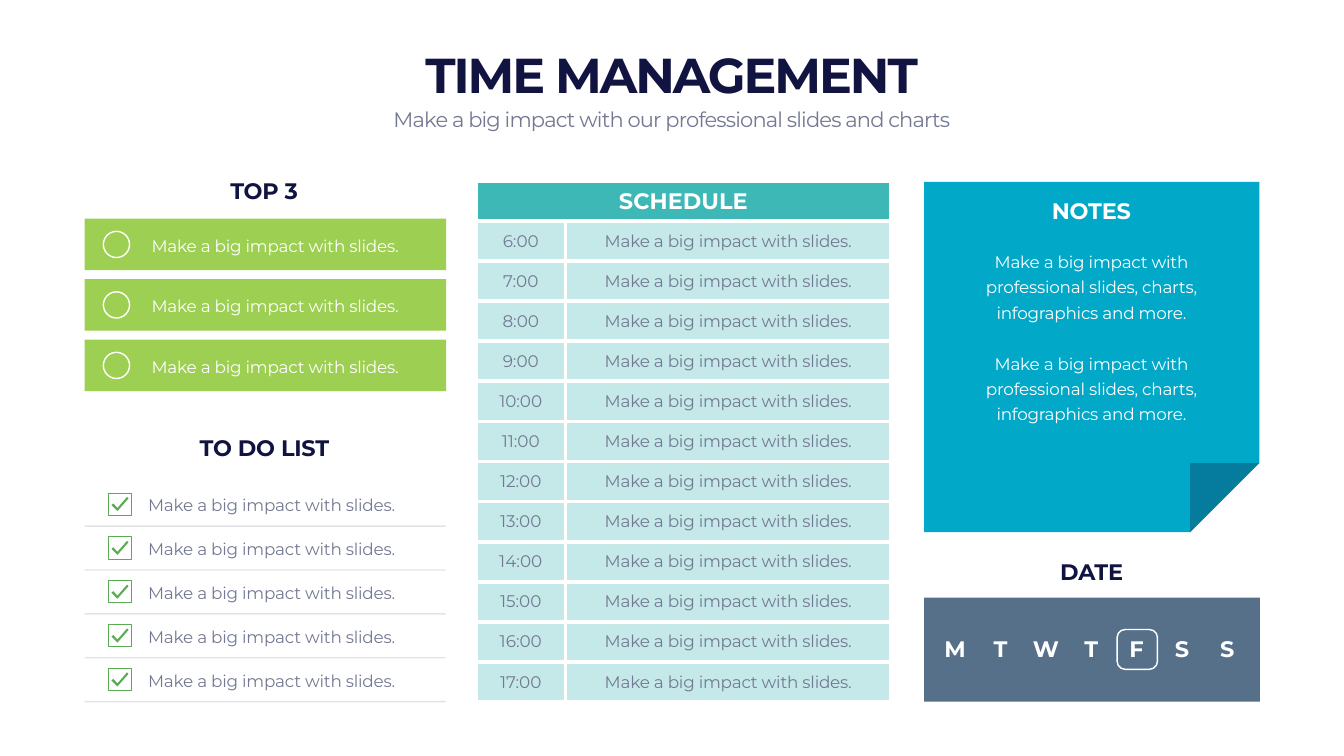
"""Build a time management planner slide."""
from dataclasses import dataclass

from lxml.etree import SubElement
from pptx import Presentation
from pptx.dml.color import RGBColor
from pptx.enum.shapes import MSO_CONNECTOR, MSO_SHAPE
from pptx.enum.text import MSO_ANCHOR, MSO_AUTO_SIZE, PP_ALIGN
from pptx.oxml import parse_xml
from pptx.oxml.ns import nsdecls, qn
from pptx.util import Inches, Pt

NAVY = RGBColor(0x11, 0x13, 0x40)
GREY = RGBColor(0x74, 0x79, 0x93)
WHITE = RGBColor(0xFF, 0xFF, 0xFF)
LIME = RGBColor(0x9D, 0xCF, 0x53)
GREEN = RGBColor(0x59, 0xAC, 0x54)
TEAL = RGBColor(0x3D, 0xB8, 0xB6)
CYAN = RGBColor(0x01, 0xA8, 0xC7)
SLATE = RGBColor(0x56, 0x70, 0x8A)
RULE = RGBColor(0xC4, 0xC8, 0xCE)

ITEM = "Make a big impact with slides."
NOTE = "Make a big impact with professional slides, charts, infographics and more."
CHECK = [(0.18, 0.36), (0.06, 0.24), (0.1, 0.21), (0.18, 0.3), (0.37, 0.08), (0.4, 0.11)]


@dataclass(frozen=True)
class Style:
    size: int
    color: RGBColor
    bold: bool = False
    spacing: float = -0.3
    align: PP_ALIGN = PP_ALIGN.CENTER
    anchor: MSO_ANCHOR = MSO_ANCHOR.MIDDLE
    leading: int | None = None


@dataclass(frozen=True)
class Label:
    text: str
    left: float
    top: float
    width: float
    height: float
    style: Style


TITLE = Style(70, NAVY, True, -2.9, anchor=MSO_ANCHOR.BOTTOM)
SUBTITLE = Style(30, GREY, spacing=-1.2, anchor=MSO_ANCHOR.TOP)
HEADING = Style(32, NAVY, True, anchor=MSO_ANCHOR.BOTTOM)
NOTES_HEADING = Style(32, WHITE, True, anchor=MSO_ANCHOR.BOTTOM)
NOTES_BODY = Style(24, WHITE, anchor=MSO_ANCHOR.TOP, leading=36)
TOP_ITEM = Style(24, WHITE, align=PP_ALIGN.LEFT, leading=36)
TODO_ITEM = Style(24, GREY, align=PP_ALIGN.LEFT, leading=36)
DAY = Style(32, WHITE, True)
TABLE_HEAD = Style(32, WHITE, True, 0)
HOUR = Style(24, GREY, spacing=0)
TASK = Style(24, GREY)

LABELS = [
    Label("TIME MANAGEMENT", 1.66, 0.82, 23.33, 1.28, TITLE),
    Label("Make a big impact with our professional slides and charts",
          1.66, 2.06, 23.33, 0.61, SUBTITLE),
    Label("NOTES", 19.28, 3.86, 4.74, 0.64, NOTES_HEADING),
    Label(NOTE, 19.28, 4.85, 4.74, 1.57, NOTES_BODY),
    Label(NOTE, 19.28, 6.86, 4.74, 1.57, NOTES_BODY),
    Label("TOP 3", 1.87, 3.45, 6.74, 0.64, HEADING),
    Label("TO DO LIST", 1.66, 8.55, 7.17, 0.64, HEADING),
    Label("DATE", 18.47, 11.01, 6.37, 0.64, HEADING),
]


def write(tf, text: str, style: Style) -> None:
    p = tf.paragraphs[0]
    p.text = text
    p.alignment = style.align
    if style.leading:
        p.line_spacing = Pt(style.leading)
    p.font.name = "Montserrat"
    p.font.size = Pt(style.size)
    p.font.bold = style.bold
    p.font.color.rgb = style.color
    p._p.pPr.find(qn("a:defRPr")).set("spc", str(round(style.spacing * 100)))


def add_label(shapes, label: Label) -> None:
    sp = shapes.add_textbox(Inches(label.left), Inches(label.top),
                            Inches(label.width), Inches(label.height))
    tf = sp.text_frame
    tf.word_wrap = True
    tf.auto_size = MSO_AUTO_SIZE.SHAPE_TO_FIT_TEXT
    tf.vertical_anchor = label.style.anchor
    write(tf, label.text, label.style)


def set_alpha(element, percent: int) -> None:
    color = next(element.iter(qn("a:srgbClr")))
    SubElement(color, qn("a:alpha")).set("val", str(percent * 1000))


def paint(sp, fill: RGBColor | None, line: RGBColor | None = None, width: float = 2) -> None:
    sp.shadow.inherit = False
    if fill is None:
        sp.fill.background()
    else:
        sp.fill.solid()
        sp.fill.fore_color.rgb = fill
    if line is None:
        sp.line.fill.background()
    else:
        sp.line.color.rgb = line
        sp.line.width = Pt(width)


def add_box(shapes, kind: MSO_SHAPE, left: float, top: float, width: float, height: float,
            fill: RGBColor | None, line: RGBColor | None = None, weight: float = 2):
    sp = shapes.add_shape(kind, Inches(left), Inches(top), Inches(width), Inches(height))
    paint(sp, fill, line, weight)
    return sp


def add_polygon(shapes, points: list[tuple[float, float]], fill: RGBColor):
    corners = [(Inches(x), Inches(y)) for x, y in points]
    builder = shapes.build_freeform(*corners[0], scale=1.0)
    builder.add_line_segments(corners[1:], close=True)
    sp = builder.convert_to_shape()
    paint(sp, fill)
    return sp


def add_rule(shapes, left: float, right: float, y: float) -> None:
    cx = shapes.add_connector(MSO_CONNECTOR.STRAIGHT, Inches(left), Inches(y),
                              Inches(right), Inches(y))
    cx.line.color.rgb = RULE
    cx.line.width = Pt(2)
    set_alpha(cx.line._get_or_add_ln(), 50)
    SubElement(cx._element.spPr, qn("a:effectLst"))


def fill_cell(cell, text: str, style: Style, alpha: int = 100) -> None:
    write(cell.text_frame, text, style)
    cell.vertical_anchor = MSO_ANCHOR.MIDDLE
    cell.fill.solid()
    cell.fill.fore_color.rgb = TEAL
    tc_pr = cell._tc.get_or_add_tcPr()
    if alpha < 100:
        set_alpha(tc_pr, alpha)
    for i, side in enumerate(("lnL", "lnR", "lnT", "lnB")):
        tc_pr.insert(i, parse_xml(
            f'<a:{side} {nsdecls("a")} w="{Pt(6)}"><a:solidFill>'
            f'<a:srgbClr val="{WHITE}"/></a:solidFill></a:{side}>'))


def add_schedule(shapes, hours: range) -> None:
    rows = len(hours) + 1
    table = shapes.add_table(rows, 2, Inches(9.44), Inches(3.59),
                             Inches(8.18), Inches(10.34)).table
    table.first_row = table.horz_banding = False
    table.columns[0].width, table.columns[1].width = Inches(1.78), Inches(6.45)
    table.cell(0, 0).merge(table.cell(0, 1))
    fill_cell(table.cell(0, 0), "SCHEDULE", TABLE_HEAD)
    for row, hour in enumerate(hours, 1):
        fill_cell(table.cell(row, 0), f"{hour}:00", HOUR, 30)
        fill_cell(table.cell(row, 1), ITEM, TASK, 30)


def main() -> None:
    prs = Presentation()
    prs.slide_width, prs.slide_height = Inches(26.66), Inches(15)
    s = prs.slides.add_slide(prs.slide_layouts[6])
    shapes = s.shapes

    add_polygon(shapes, [(18.33, 3.61), (18.33, 10.56), (23.61, 10.56),
                         (24.98, 9.19), (24.98, 3.61)], CYAN)
    fold = add_polygon(shapes, [(23.61, 10.56), (24.98, 9.19), (23.61, 9.19)], NAVY)
    set_alpha(fold._element.spPr, 30)

    for i in range(3):
        y = 4.34 + 1.2 * i
        add_box(shapes, MSO_SHAPE.RECTANGLE, 1.68, y, 7.17, 1.02, LIME)
        add_box(shapes, MSO_SHAPE.OVAL, 2.05, y + 0.25, 0.52, 0.52, None, WHITE)
        add_label(shapes, Label(ITEM, 2.91, y + 0.2, 5.71, 0.56, TOP_ITEM))

    for i in range(5):
        y = 9.78 + 0.87 * i
        add_rule(shapes, 1.68, 8.84, y + 0.66)
        add_box(shapes, MSO_SHAPE.RECTANGLE, 2.15, y, 0.45, 0.44, None, GREEN, 1)
        add_polygon(shapes, [(2.15 + dx, y + dy) for dx, dy in CHECK], GREEN)
        add_label(shapes, Label(ITEM, 2.84, y - 0.09, 5.92, 0.56, TODO_ITEM))

    add_box(shapes, MSO_SHAPE.RECTANGLE, 18.33, 11.86, 6.66, 2.06, SLATE)
    marker = add_box(shapes, MSO_SHAPE.ROUNDED_RECTANGLE, 22.16, 12.49, 0.8, 0.79, None, WHITE)
    marker.adjustments[0] = 0.2
    for i, day in enumerate("MTWTFSS"):
        add_label(shapes, Label(day, 18.57 + 0.9 * i, 12.54, 0.75, 0.64, DAY))

    for label in LABELS:
        add_label(shapes, label)
    add_schedule(shapes, range(6, 18))
    prs.save("out.pptx")


main()
